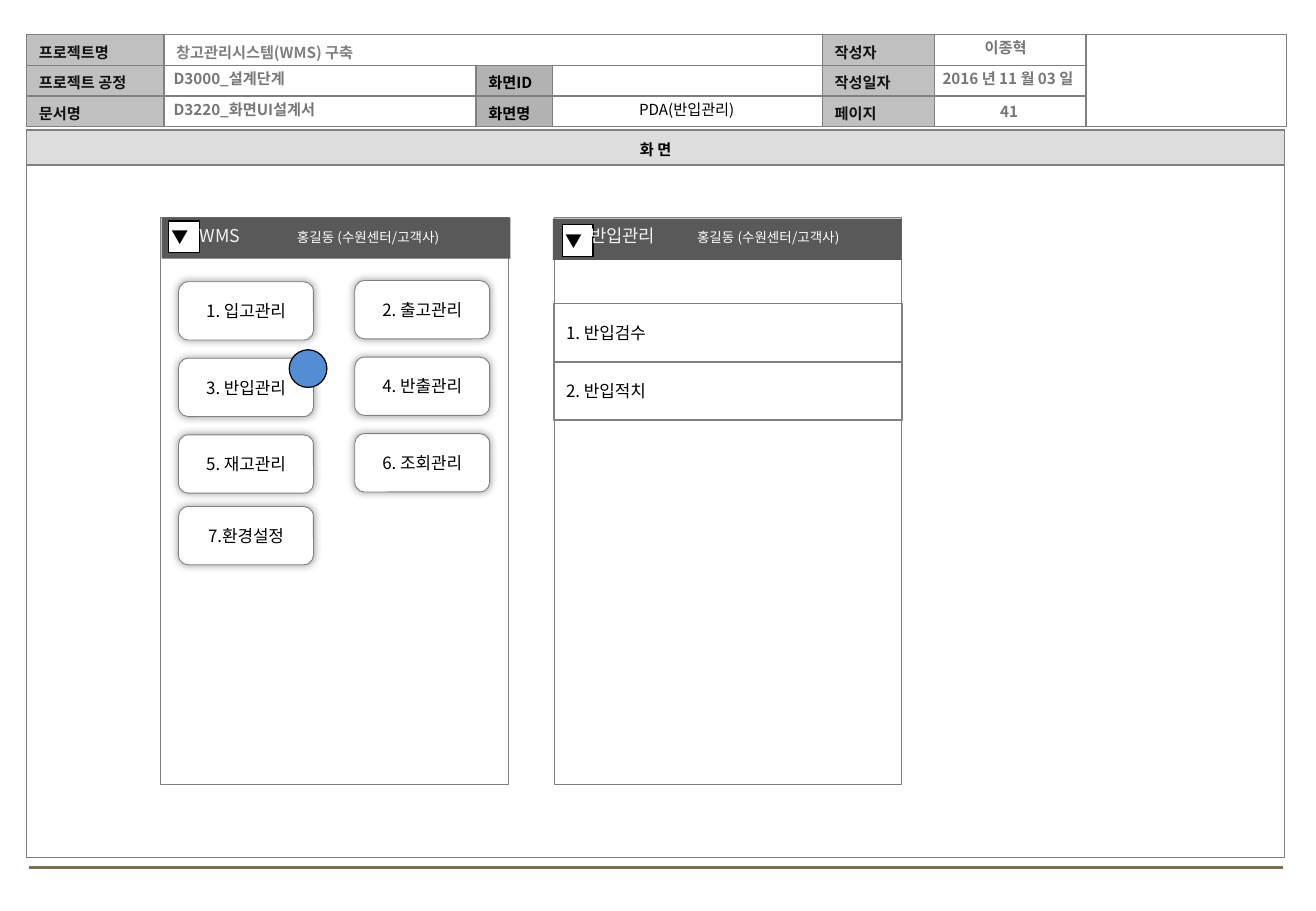
import dataclasses

import pptx
import pptx.util
import pptx.dml.color
import pptx.enum.shapes
import pptx.enum.text
import pptx.oxml
import pptx.oxml.ns
from lxml import etree

qn = pptx.oxml.ns.qn
SHAPE = pptx.enum.shapes.MSO_SHAPE
ALIGN = pptx.enum.text.PP_ALIGN
MIDDLE = pptx.enum.text.MSO_ANCHOR.MIDDLE


@dataclasses.dataclass(frozen=True)
class Theme:
    font: str = "Noto Sans CJK KR"
    border: str = "808080"
    label_fill: str = "C0C0C0"
    screen_label_fill: str = "B2B2B2"
    section_fill: str = "DDDDDD"
    bar: str = "595959"
    marker: str = "538ED5"
    footer: str = "7A6F54"
    label: str = "111111"
    value: str = "777777"
    black: str = "000000"
    white: str = "FFFFFF"
    title: str = "F2F2F2"
    form_size: float = 9
    item_size: float = 10
    title_size: float = 10.5
    user_size: float = 8


T = Theme()
SLIDE_W, SLIDE_H = pptx.util.Inches(10.83), pptx.util.Inches(7.5)


# The grid has 100 columns across and 100 rows down the slide
def col(n):
    return round(SLIDE_W * n / 100)


def row(n):
    return round(SLIDE_H * n / 100)


def box(x, y, w, h):
    return col(x), row(y), col(w), row(h)


def rgb(value):
    return pptx.dml.color.RGBColor.from_string(value)


def set_font(font, size, color, bold=False):
    font.size, font.bold, font.name = pptx.util.Pt(size), bold, T.font
    font.color.rgb = rgb(color)
    etree.SubElement(font._rPr, qn("a:ea"), typeface=T.font)


def write(p, text, size, color, bold=False, align=ALIGN.LEFT):
    p.text = text
    p.alignment = align
    set_font(p.font, size, color, bold)


def add_text(s, place, text, color=T.value, bold=True, align=ALIGN.LEFT):
    tf = s.shapes.add_textbox(*box(*place)).text_frame
    tf.word_wrap = True
    write(tf.paragraphs[0], text, T.form_size, color, bold, align)


def add_shape(s, kind, place, fill=None, line=None, width=0.5,
              text="", align=ALIGN.CENTER):
    sp = s.shapes.add_shape(kind, *box(*place))
    sp.shadow.inherit = False
    if fill:
        sp.fill.solid()
        sp.fill.fore_color.rgb = rgb(fill)
    else:
        sp.fill.background()
    if line:
        sp.line.color.rgb = rgb(line)
        sp.line.width = pptx.util.Pt(width)
    else:
        sp.line.fill.background()
    if text:
        sp.text_frame.vertical_anchor = MIDDLE
        write(sp.text_frame.paragraphs[0], text, T.item_size, T.black, align=align)
    return sp


def add_table(s, x, y, widths, heights):
    table = s.shapes.add_table(len(heights), len(widths),
                               *box(x, y, sum(widths), sum(heights))).table
    table.first_row = table.horz_banding = False
    for column, w in zip(table.columns, widths):
        column.width = col(w)
    for line, h in zip(table.rows, heights):
        line.height = row(h)
    for cell in table.iter_cells():
        cell.margin_top, cell.margin_bottom = pptx.util.Pt(3), pptx.util.Pt(1)
        cell.vertical_anchor = MIDDLE
        etree.SubElement(cell.text_frame.paragraphs[0]._p, qn("a:endParaRPr"),
                         sz=str(T.form_size * 100))
        tc_pr = cell._tc.get_or_add_tcPr()
        for side in ("lnL", "lnR", "lnT", "lnB"):
            ln = etree.SubElement(tc_pr, qn(f"a:{side}"), w=str(pptx.util.Pt(1)))
            paint = etree.SubElement(ln, qn("a:solidFill"))
            etree.SubElement(paint, qn("a:srgbClr"), val=T.border)
        cell.fill.background()
    return table


def fill_cell(cell, text, color, fill=None, align=ALIGN.LEFT):
    write(cell.text_frame.paragraphs[0], text, T.form_size, color, True, align)
    if fill:
        cell.fill.solid()
        cell.fill.fore_color.rgb = rgb(fill)


def add_button(s, x, y, text):
    sp = add_shape(s, SHAPE.ROUNDED_RECTANGLE, (x, y, 10.25, 6.4), T.white, T.border, text=text)
    effects = sp._element.spPr.find(qn("a:effectLst"))
    glow = etree.SubElement(effects, qn("a:outerShdw"), blurRad=str(pptx.util.Pt(5)),
                            dist="0", dir="0", algn="ctr", rotWithShape="0")
    shade = etree.SubElement(glow, qn("a:srgbClr"), val=T.black)
    etree.SubElement(shade, qn("a:alpha"), val="40000")


def add_screen(s, x, bar, toggle, title_x, title, tab):
    """PDA screen: frame, dark bar, drop-down toggle, title and user."""
    add_shape(s, SHAPE.FLOWCHART_PROCESS, (x, 23.87, 26.41, 62.27), T.white, T.border)
    add_shape(s, SHAPE.RECTANGLE, (*bar, 26.5, 4.53), T.bar)
    sp = add_shape(s, SHAPE.RECTANGLE, (*toggle, 2.31, 3.47), T.white, T.black, 0.75,
                   "▼", ALIGN.LEFT)
    tf = sp.text_frame
    tf.word_wrap = False
    tf.margin_left = tf.margin_right = pptx.util.Inches(0.02)
    tf.margin_top = tf.margin_bottom = pptx.util.Inches(0.04)

    tf = s.shapes.add_textbox(*box(title_x, 24, 24, 6)).text_frame
    tf.word_wrap = True
    tf.margin_left = 0
    p = tf.paragraphs[0]
    tabs = etree.SubElement(p._p.get_or_add_pPr(), qn("a:tabLst"))
    etree.SubElement(tabs, qn("a:tab"), pos=str(col(tab)), algn="l")
    for text, size, color in ((title + "\t", T.title_size, T.title),
                              ("홍길동 (수원센터/고객사)", T.user_size, T.white)):
        r = p.add_run()
        r.text = text
        set_font(r.font, size, color)


def add_form(s):
    # Footer rule
    rule = s.shapes.add_connector(pptx.enum.shapes.MSO_CONNECTOR.STRAIGHT,
                                  col(2.22), row(95.2), col(97.51), row(95.2))
    rule.line.color.rgb = rgb(T.footer)
    rule.line.width = pptx.util.Pt(1.75)
    etree.SubElement(rule._element.spPr, qn("a:effectLst"))

    # Document header
    head = add_table(s, 2.03, 3.8, [10.43, 23.73, 5.82, 20.5, 8.49, 11.54, 15.24], [3.37] * 3)
    head.cell(0, 1).merge(head.cell(0, 3))
    head.cell(0, 6).merge(head.cell(2, 6))
    for c, first, labels, color, fill in (
            (0, 0, ("프로젝트명", "프로젝트 공정", "문서명"), T.label, T.label_fill),
            (2, 1, ("화면ID", "화면명"), T.black, T.screen_label_fill),
            (4, 0, ("작성자", "작성일자", "페이지"), T.label, T.label_fill)):
        for i, label in enumerate(labels, first):
            fill_cell(head.cell(i, c), label, color, fill)
    fill_cell(head.cell(0, 1), "창고관리시스템(WMS) 구축", T.border)

    # Header values
    add_text(s, (12.28, 6.93, 26, 3.33), "D3000_설계단계")
    add_text(s, (12.28, 10.4, 26, 3.33), "D3220_화면UI설계서")
    add_text(s, (42.11, 10.4, 20.13, 3.33), "PDA(반입관리)", T.black, False, ALIGN.CENTER)
    add_text(s, (69.16, 3.6, 14.5, 3.33), "이종혁", align=ALIGN.CENTER)
    add_text(s, (69.34, 6.93, 14.5, 3.33), "2016 년 11 월 03 일", align=ALIGN.CENTER)
    add_text(s, (70.91, 10.53, 11.54, 3.33), "41", align=ALIGN.CENTER)

    # Screen area
    area = add_table(s, 2.03, 14.27, [95.57], [3.84, 76])
    fill_cell(area.cell(0, 0), "화 면", T.black, T.section_fill, ALIGN.CENTER)


def main():
    prs = pptx.Presentation()
    prs.slide_width, prs.slide_height = SLIDE_W, SLIDE_H
    s = prs.slides.add_slide(prs.slide_layouts[6])
    add_form(s)

    # Main menu screen
    add_screen(s, 12.19, (12.28, 23.87), (12.83, 24.27), 15.2, "WMS", 7.37)
    menu = ("1. 입고관리", "2. 출고관리", "3. 반입관리", "4. 반출관리",
            "5. 재고관리", "6. 조회관리", "7.환경설정")
    menu_rows = (30.93, 39.33, 47.73, 55.6)
    for i, text in enumerate(menu):
        r, c = divmod(i, 2)
        add_button(s, 13.57 + 13.39 * c, menu_rows[r] - 0.13 * c, text)
    add_shape(s, SHAPE.OVAL, (21.98, 38.4, 2.86, 4.13), T.marker, T.black, 0.75)

    # Carry-in screen
    add_screen(s, 42.11, (42.01, 24), (42.75, 24.67), 44.84, "반입관리", 8.13)
    for i, text in enumerate(("1. 반입검수", "2. 반입적치")):
        add_shape(s, SHAPE.RECTANGLE, (42.11, 33.33 + 6.4 * i, 26.41, 6.4),
                  line=T.border, width=1, text=text, align=ALIGN.LEFT)

    prs.save("out.pptx")


if __name__ == "__main__":
    main()
